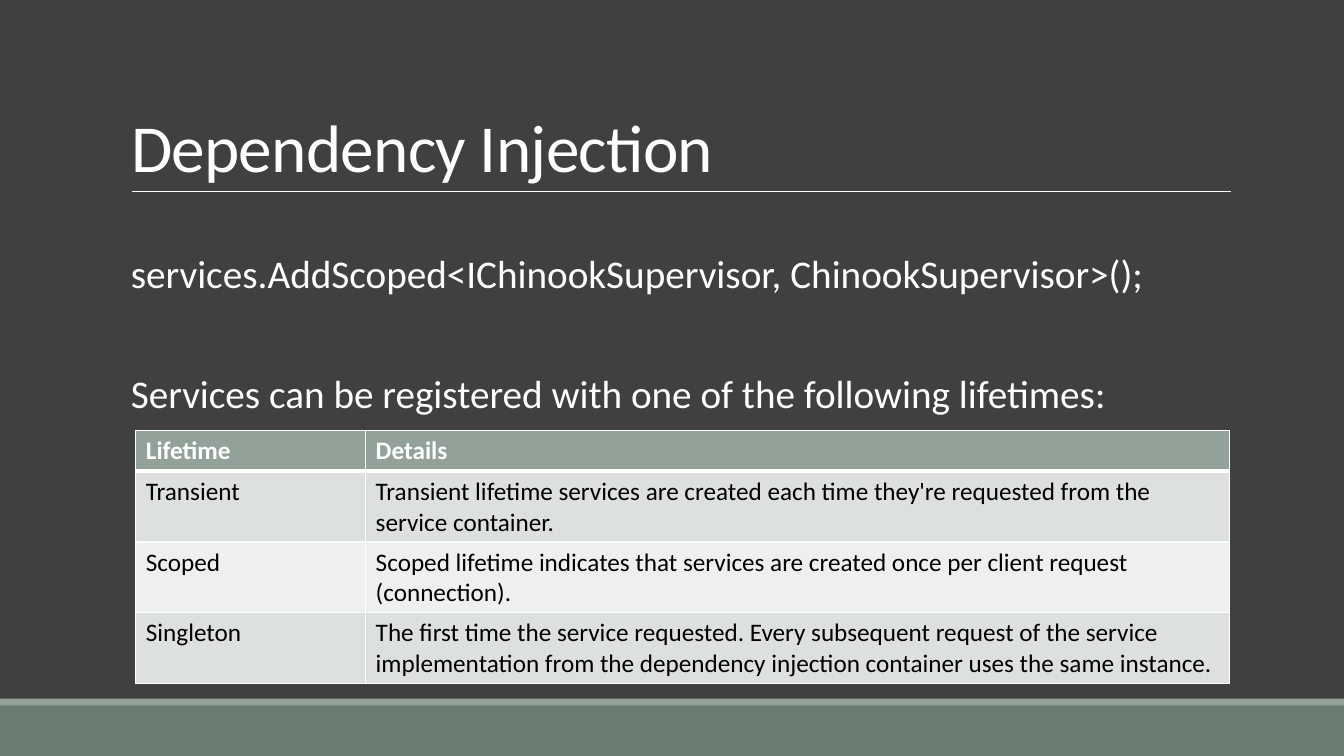
from pptx import Presentation
from pptx.dml.color import RGBColor
from pptx.enum.shapes import MSO_CONNECTOR, MSO_SHAPE
from pptx.enum.text import MSO_ANCHOR, MSO_AUTO_SIZE, PP_ALIGN
from pptx.oxml.ns import qn
from pptx.util import Pt
from lxml.etree import SubElement

TITLE = "Dependency Injection"
CODE = "services.AddScoped<IChinookSupervisor, ChinookSupervisor>();"
INTRO = "Services can be registered with one of the following lifetimes:"
LIFETIMES = [
    ("Lifetime", "Details"),
    ("Transient", "Transient lifetime services are created each time they're "
                  "requested from the service container."),
    ("Scoped", "Scoped lifetime indicates that services are created once per "
               "client request (connection)."),
    ("Singleton", "The first time the service requested. Every subsequent request "
                  "of the service implementation from the dependency injection "
                  "container uses the same instance."),
]

FONT = "Calibri"
WHITE = RGBColor(0xFF, 0xFF, 0xFF)
BLACK = RGBColor(0x00, 0x00, 0x00)
CHARCOAL = RGBColor(0x40, 0x40, 0x40)
GREEN = RGBColor(0x6B, 0x7D, 0x72)
SAGE = RGBColor(0x93, 0xA2, 0x99)
BANDS = [RGBColor(0xEE, 0xF0, 0xEF), RGBColor(0xDC, 0xE0, 0xDE)]

SLIDE_W, SLIDE_H = 960, 540
LEFT, WIDTH = 86.4, 792
RULE_Y, RULE_X1, RULE_X2 = 136.8, 94.3, 879.1
FOOTER_BARS = [(504, 36, GREEN), (499, 5, SAGE)]
TABLE_X, TABLE_Y = 97, 307.4
COL_WIDTHS = [164.2, 617]
ROW_HEIGHTS = [29.3, 50.5, 50.5, 50.5]


def write(tf, text, size, color, bold=False):
    tf.text = text
    tf.word_wrap = True
    p = tf.paragraphs[0]
    p.alignment = PP_ALIGN.LEFT
    font = p.runs[0].font
    font.name, font.size, font.bold = FONT, Pt(size), bold
    font.color.rgb = color
    return p


def add_text(s, text, top, height):
    box = s.shapes.add_textbox(Pt(LEFT), Pt(top), Pt(WIDTH), Pt(height))
    return write(box.text_frame, text, 28, WHITE)


def add_borders(cell, bottom):
    tc_pr = cell._tc.get_or_add_tcPr()
    for side, width in (("L", 1), ("R", 1), ("T", 1), ("B", bottom)):
        ln = SubElement(tc_pr, qn(f"a:ln{side}"), w=str(Pt(width)))
        fill = SubElement(ln, qn("a:solidFill"))
        SubElement(fill, qn("a:srgbClr"), val=str(WHITE))


def add_title(s):
    title = s.shapes.title
    title.left, title.top = Pt(LEFT), Pt(22.3)
    title.width, title.height = Pt(WIDTH), Pt(114.5)
    tf = title.text_frame
    p = write(tf, TITLE, 48, WHITE)
    tf.auto_size = MSO_AUTO_SIZE.NONE
    tf.vertical_anchor = MSO_ANCHOR.BOTTOM
    p.line_spacing = 0.85
    p.runs[0].font._element.set("spc", "-50")


def add_decoration(s):
    for top, height, color in FOOTER_BARS:
        bar = s.shapes.add_shape(MSO_SHAPE.RECTANGLE, 0, Pt(top), Pt(SLIDE_W), Pt(height))
        bar.shadow.inherit = False
        bar.fill.solid()
        bar.fill.fore_color.rgb = color
        bar.line.fill.background()
    rule = s.shapes.add_connector(
        MSO_CONNECTOR.STRAIGHT, Pt(RULE_X1), Pt(RULE_Y), Pt(RULE_X2), Pt(RULE_Y))
    rule.line.color.rgb = WHITE
    rule.line.width = Pt(0.5)
    SubElement(rule._element.spPr, qn("a:effectLst"))


def add_lifetimes(s):
    table = s.shapes.add_table(
        len(LIFETIMES), len(COL_WIDTHS), Pt(TABLE_X), Pt(TABLE_Y),
        Pt(sum(COL_WIDTHS)), Pt(sum(ROW_HEIGHTS))).table
    for col, width in zip(table.columns, COL_WIDTHS):
        col.width = Pt(width)
    for i, (row, height) in enumerate(zip(table.rows, ROW_HEIGHTS)):
        row.height = Pt(height)
        header = i == 0
        for cell, text in zip(row.cells, LIFETIMES[i]):
            write(cell.text_frame, text, 18, WHITE if header else BLACK, header)
            add_borders(cell, 3 if header else 1)
            cell.fill.solid()
            cell.fill.fore_color.rgb = SAGE if header else BANDS[i % 2]


def main():
    prs = Presentation()
    prs.slide_width, prs.slide_height = Pt(SLIDE_W), Pt(SLIDE_H)
    s = prs.slides.add_slide(prs.slide_layouts[5])
    s.background.fill.solid()
    s.background.fill.fore_color.rgb = CHARCOAL
    add_decoration(s)
    add_title(s)
    p = add_text(s, CODE, 178.6, 48.2)
    p.line_spacing = 0.9
    add_text(s, INTRO, 259.9, 41)
    add_lifetimes(s)
    prs.save("out.pptx")


if __name__ == "__main__":
    main()
